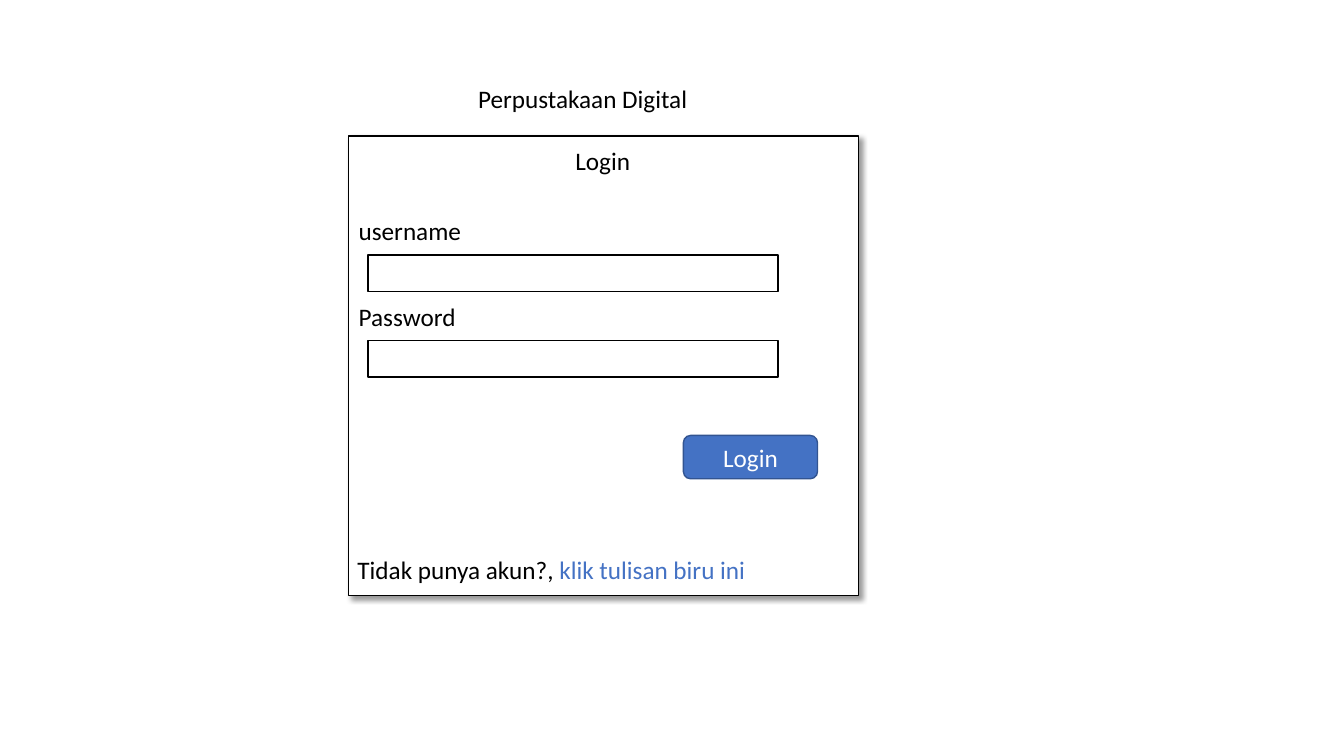
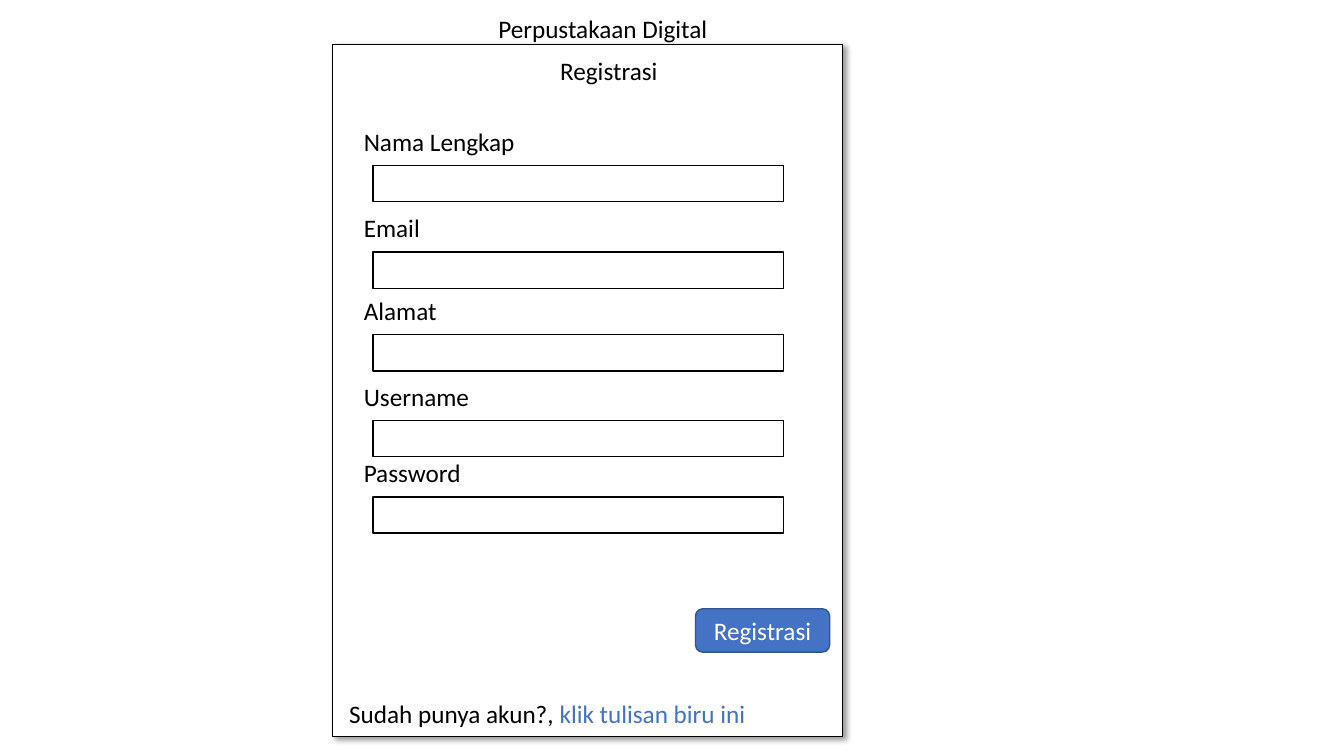
"""Builds the login and registration wireframes of a digital library."""
from lxml import etree
from pptx import Presentation
from pptx import util as u
from pptx.dml.color import RGBColor
from pptx.enum import shapes, text
from pptx.oxml.ns import qn

WIDTH, HEIGHT = u.Inches(13.333), u.Inches(7.5)
FONT, SIZE = "Calibri", u.Pt(18)
BLACK, WHITE, BLUE, DARK_BLUE = "000000", "FFFFFF", "4472C4", "325491"
CARD_WIDTH = 37.95
TEXT_SIZE = (31.95, 5.33)
INPUT_SIZE = (30.53, 4.8)
BUTTON_SIZE = (9.98, 5.73)
INPUT_SHIFT = (1.42, 5.87)


def color(value):
    """Turn a hex string into a colour."""
    return RGBColor.from_string(value)


def place(position, size):
    """Turn percentages of the slide into left, top, width and height."""
    (left, top), (width, height) = position, size
    return [round(share * side / 100) for share, side in
            ((left, WIDTH), (top, HEIGHT), (width, WIDTH), (height, HEIGHT))]


def write(frame, runs, alignment):
    """Write one paragraph of (wording, colour) runs."""
    frame.word_wrap = True
    paragraph = frame.paragraphs[0]
    paragraph.alignment = alignment
    for wording, run_color in runs:
        run = paragraph.add_run()
        run.text = wording
        run.font.name, run.font.size = FONT, SIZE
        run.font.color.rgb = color(run_color)


def add_text(slide, position, *runs, alignment=text.PP_ALIGN.CENTER):
    """Add a text box that grows with its text."""
    frame = slide.shapes.add_textbox(*place(position, TEXT_SIZE)).text_frame
    write(frame, runs, alignment)
    frame.auto_size = text.MSO_AUTO_SIZE.SHAPE_TO_FIT_TEXT


def add_box(slide, position, size, fill=WHITE, line=BLACK,
            kind=shapes.MSO_SHAPE.RECTANGLE):
    """Add a filled and outlined shape without a shadow."""
    shape = slide.shapes.add_shape(kind, *place(position, size))
    shape.shadow.inherit = False
    shape.fill.solid()
    shape.fill.fore_color.rgb = color(fill)
    shape.line.color.rgb = color(line)
    shape.line.width = u.Pt(1)
    return shape


def add_card(slide, position, height):
    """Add the form's panel with a soft shadow to the lower right."""
    card = add_box(slide, position, (CARD_WIDTH, height))
    effects = card.element.spPr.find(qn("a:effectLst"))
    shadow = etree.SubElement(
        effects, qn("a:outerShdw"), blurRad=str(u.Pt(4)), dist=str(u.Pt(3)),
        dir=str(45 * 60000), algn="tl", rotWithShape="0")
    shade = etree.SubElement(shadow, qn("a:srgbClr"), val=BLACK)
    etree.SubElement(shade, qn("a:alpha"), val="40000")


def add_field(slide, left, top, label):
    """Add a label with its input box below."""
    add_text(slide, (left, top), (label, BLACK), alignment=text.PP_ALIGN.LEFT)
    add_box(slide, (left + INPUT_SHIFT[0], top + INPUT_SHIFT[1]), INPUT_SIZE)


def add_button(slide, position, label):
    """Add a rounded blue button."""
    button = add_box(slide, position, BUTTON_SIZE, BLUE, DARK_BLUE,
                     shapes.MSO_SHAPE.ROUNDED_RECTANGLE)
    button.text_frame.vertical_anchor = text.MSO_ANCHOR.MIDDLE
    write(button.text_frame, [(label, WHITE)], text.PP_ALIGN.CENTER)


def add_form(presentation, name, card, card_height, title, heading,
             field_left, fields, button, prompt, question):
    """Add a slide with one form, placed in percentages of the slide."""
    slide = presentation.slides.add_slide(presentation.slide_layouts[6])
    add_card(slide, card, card_height)
    add_text(slide, title, ("Perpustakaan Digital", BLACK))
    add_text(slide, heading, (name, BLACK))
    for label, top in fields:
        add_field(slide, field_left, top, label)
    add_button(slide, button, name)
    add_text(slide, prompt, (question + " ", BLACK),
             ("klik tulisan biru ini", BLUE))


def main():
    """Build and save both forms."""
    presentation = Presentation()
    presentation.slide_width, presentation.slide_height = WIDTH, HEIGHT
    add_form(presentation, "Login", card=(25.95, 18), card_height=60.8,
             title=(27.38, 10.4), heading=(28.88, 18.53), field_left=25.95,
             fields=[("username", 27.87), ("Password", 39.2)],
             button=(50.85, 57.6), prompt=(25.05, 72.67),
             question="Tidak punya akun?,")
    add_form(presentation, "Registrasi", card=(24.75, 5.87), card_height=91.6,
             title=(28.88, 1.07), heading=(29.33, 6.67), field_left=26.33,
             fields=[("Nama Lengkap", 16), ("Email", 27.47), ("Alamat", 38.4),
                     ("Username", 49.73), ("Password", 59.87)],
             button=(51.75, 80.53), prompt=(24.75, 91.73),
             question="Sudah punya akun?,")
    presentation.save("out.pptx")


if __name__ == "__main__":
    main()
